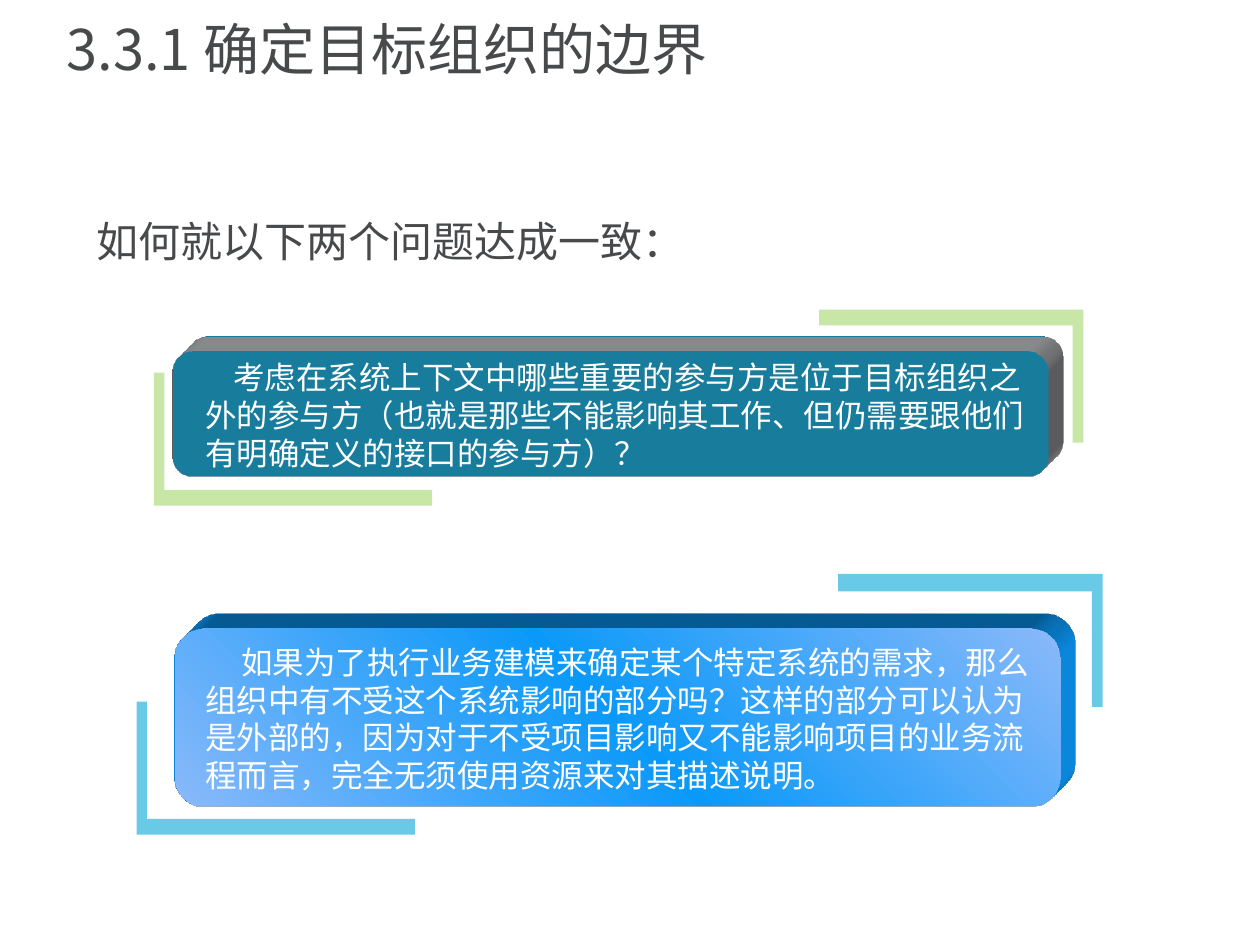
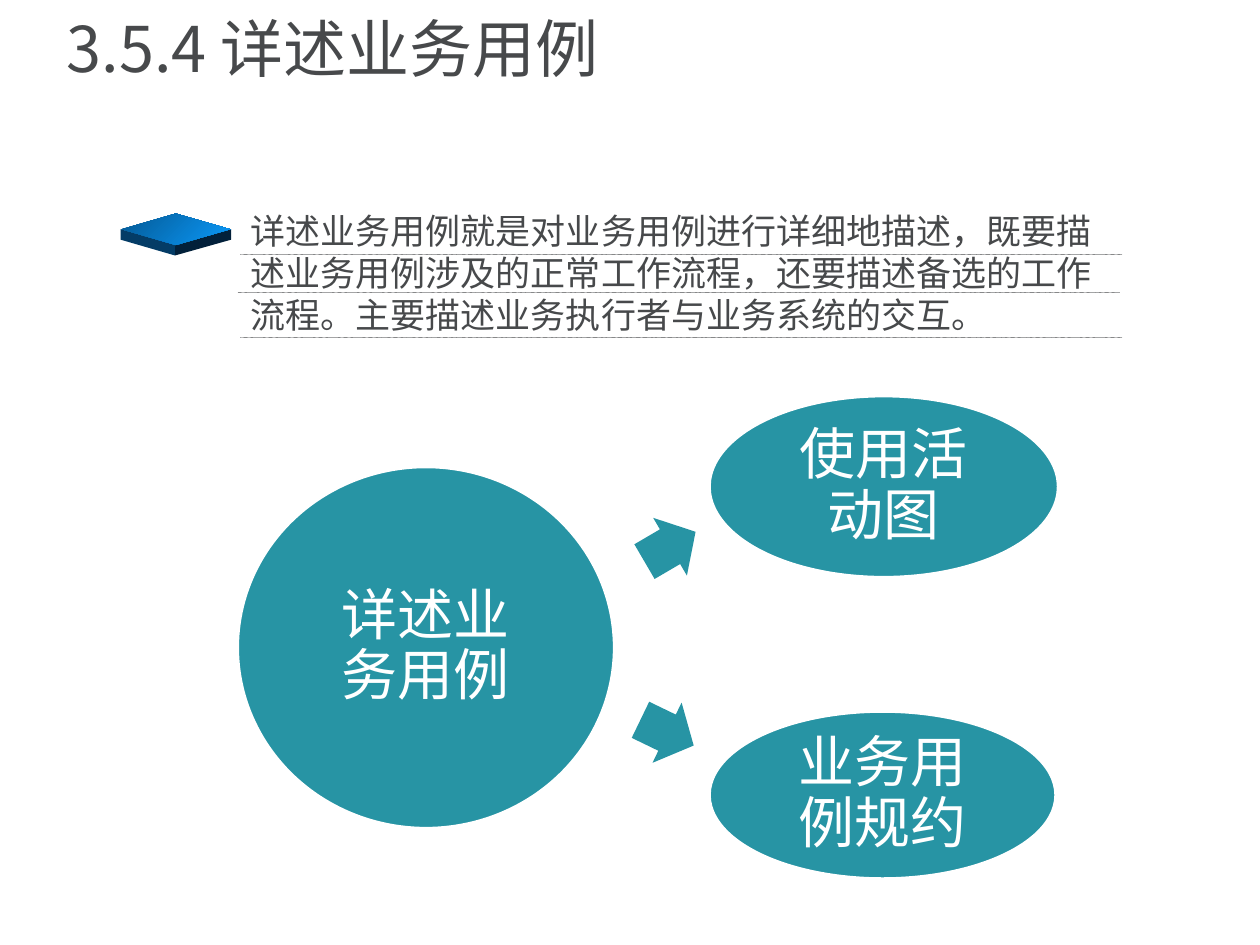
import pptx
import pptx.dml.color
import pptx.enum.shapes
import pptx.enum.text
import pptx.oxml
import pptx.oxml.ns
import pptx.util
from pptx.util import Pt

RGBColor = pptx.dml.color.RGBColor
MSO_SHAPE = pptx.enum.shapes.MSO_SHAPE
MSO_ANCHOR = pptx.enum.text.MSO_ANCHOR
PP_ALIGN = pptx.enum.text.PP_ALIGN

# Shared colours and fonts
INK = RGBColor(0x47, 0x49, 0x4B)
WHITE = RGBColor(0xFF, 0xFF, 0xFF)
GREEN = RGBColor(0x92, 0xD0, 0x50)
SKY = RGBColor(0x22, 0xB1, 0xDE)
TEAL = RGBColor(0x27, 0x94, 0xA4)
GREY = RGBColor(0x99, 0x9B, 0x9E)
BLUE = RGBColor(0x0B, 0x99, 0xF9)
PALE_BLUE = RGBColor(0x8A, 0xB9, 0xFA)
DARK_BLUE = RGBColor(0x04, 0x59, 0x94)
NAVY = RGBColor(0x04, 0x3C, 0x66)
NIGHT = RGBColor(0x02, 0x20, 0x3A)
HEADING_FONT = "Noto Sans CJK SC"
TEXT_FONT = "DejaVu Sans"


def add_child(parent, tag, **attributes):
    child = parent.makeelement(pptx.oxml.ns.qn(tag), attributes)
    parent.append(child)
    return child


def paint(shape, color, opacity=100):
    """Plain fill, no outline, no shadow."""
    shape.shadow.inherit = False
    shape.line.fill.background()
    shape.fill.solid()
    shape.fill.fore_color.rgb = color
    if opacity < 100:
        srgb = shape.fill._xPr.find(".//" + pptx.oxml.ns.qn("a:srgbClr"))
        add_child(srgb, "a:alpha", val=str(opacity * 1000))


def paint_gradient(shape, stops, angle):
    """Linear gradient through (percent, colour) stops, angle clockwise."""
    shape.shadow.inherit = False
    shape.line.fill.background()
    marks = "".join(
        f'<a:gs pos="{percent * 1000}"><a:srgbClr val="{color}"/></a:gs>' for percent, color in stops
    )
    gradient = pptx.oxml.parse_xml(
        f'<a:gradFill {pptx.oxml.ns.nsdecls("a")} rotWithShape="1"><a:gsLst>{marks}</a:gsLst>'
        f'<a:lin ang="{angle * 60000}" scaled="0"/></a:gradFill>'
    )
    shape.fill.background()
    properties = shape._element.spPr
    properties.replace(properties.find(pptx.oxml.ns.qn("a:noFill")), gradient)


def extrude(shape, color, light):
    """Oblique depth towards the upper right."""
    properties = shape._element.spPr
    scene = add_child(properties, "a:scene3d")
    add_child(scene, "a:camera", prst="legacyObliqueTopRight")
    add_child(scene, "a:lightRig", rig="legacyFlat3", dir=light)
    solid = add_child(properties, "a:sp3d", extrusionH=str(Pt(24)), prstMaterial="legacyMatte")
    add_child(add_child(solid, "a:extrusionClr"), "a:srgbClr", val=str(color))


def add_run(paragraph, text, size, color, font):
    run = paragraph.add_run()
    run.text = text
    run.font.size = Pt(size)
    run.font.color.rgb = color
    run.font.name = font
    add_child(run._r.get_or_add_rPr(), "a:ea", typeface=font)


def add_text(slide, box, text, size, color=INK, font=TEXT_FONT, anchor=MSO_ANCHOR.TOP, indent=0):
    shape = slide.shapes.add_textbox(*map(Pt, box))
    frame = shape.text_frame
    frame.word_wrap = True
    frame.vertical_anchor = anchor
    paragraph = frame.paragraphs[0]
    if indent:
        paragraph._p.get_or_add_pPr().set("indent", str(Pt(indent)))
    add_run(paragraph, text, size, color, font)
    return paragraph


def add_title(slide, text, size):
    paragraph = add_text(slide, (31, 4.7, 651.6, 50.4), text, size, INK, HEADING_FONT, MSO_ANCHOR.MIDDLE)
    paragraph.line_spacing = 0.9


def add_outline(slide, points):
    builder = slide.shapes.build_freeform(*points[0], scale=Pt(1))
    builder.add_line_segments(points[1:], close=True)
    return builder.convert_to_shape()


def add_bracket(slide, box, color, opacity, turned=False):
    """L-shaped bracket at the lower left, or turned to the upper right."""
    left, top, width, height = box
    thick_x, thick_y = 6.1, 9.2
    points = [
        (thick_x, height - thick_y), (thick_x, 0), (0, 0),
        (0, height), (width, height), (width, height - thick_y),
    ]
    if turned:
        points = [(width - x, height - y) for x, y in points]
    paint(add_outline(slide, [(left + x, top + y) for x, y in points]), color, opacity)


def add_bar(slide, box):
    bar = slide.shapes.add_shape(MSO_SHAPE.ROUNDED_RECTANGLE, *map(Pt, box))
    bar.adjustments[0] = 0.167
    return bar


def add_slab(slide, left, top, width, height, thickness):
    """Flat diamond with two visible sides."""
    middle_x, middle_y = left + width / 2, top + height / 2
    for edge_x, color in ((left, NAVY), (left + width, NIGHT)):
        side = add_outline(slide, [
            (edge_x, middle_y), (middle_x, top + height),
            (middle_x, top + height + thickness), (edge_x, middle_y + thickness),
        ])
        paint(side, color)
    diamond = slide.shapes.add_shape(MSO_SHAPE.DIAMOND, *map(Pt, (left, top, width, height)))
    paint_gradient(diamond, [(0, DARK_BLUE), (100, BLUE)], 45)


def add_dotted_rule(slide, left, y, width):
    rule = slide.shapes.add_connector(
        pptx.enum.shapes.MSO_CONNECTOR.STRAIGHT, Pt(left), Pt(y), Pt(left + width), Pt(y)
    )
    rule.line.color.rgb = INK
    rule.line.width = Pt(0.25)
    properties = rule._element.spPr
    outline = properties.find(pptx.oxml.ns.qn("a:ln"))
    outline.set("cap", "rnd")
    add_child(outline, "a:prstDash", val="sysDot")
    add_child(properties, "a:effectLst")


def add_oval(slide, box, text, inset):
    oval = slide.shapes.add_shape(MSO_SHAPE.OVAL, *map(Pt, box))
    paint(oval, TEAL)
    oval.line.color.rgb = WHITE
    oval.line.width = Pt(1)
    frame = oval.text_frame
    frame.word_wrap = True
    frame.vertical_anchor = MSO_ANCHOR.MIDDLE
    frame.margin_left = frame.margin_right = Pt(inset)
    frame.margin_top = frame.margin_bottom = Pt(inset)
    paragraph = frame.paragraphs[0]
    paragraph.alignment = PP_ALIGN.CENTER
    paragraph.line_spacing = 0.9
    add_run(paragraph, text, 32, WHITE, HEADING_FONT)


def add_arrow(slide, left, top, rotation):
    arrow = slide.shapes.add_shape(MSO_SHAPE.RIGHT_ARROW, Pt(left), Pt(top), Pt(33.8), Pt(38.2))
    arrow.adjustments[0] = 0.6
    arrow.rotation = rotation
    paint(arrow, TEAL)


def build_boundary_slide(slide):
    add_title(slide, "3.3.1 确定目标组织的边界", 32)
    question = add_text(slide, (48.2, 116.6, 655.2, 365.8), "如何就以下两个问题达成一致：", 24, font=HEADING_FONT)
    question.alignment = PP_ALIGN.JUSTIFY
    question.line_spacing = 1.1

    # First question
    add_bracket(slide, (87.6, 213.3, 159.1, 75.6), GREEN, 50)
    add_bracket(slide, (468, 177.3, 151.2, 75.6), GREEN, 50, turned=True)
    bar = add_bar(slide, (98.6, 201, 500.4, 71.3))
    paint(bar, SKY)
    extrude(bar, GREY, "r")
    add_text(
        slide, (110.2, 201, 487.4, 94.3),
        "考虑在系统上下文中哪些重要的参与方是位于目标组织之外的参与方"
        "（也就是那些不能影响其工作、但仍需要跟他们有明确定义的接口的参与方）？",
        18, WHITE, indent=16,
    )

    # Second question
    add_bracket(slide, (77.8, 401.2, 159.1, 75.6), SKY, 68)
    add_bracket(slide, (478.6, 328.4, 151.2, 75.6), SKY, 68, turned=True)
    bar = add_bar(slide, (100, 358.8, 506.2, 102.2))
    paint_gradient(bar, [(0, PALE_BLUE), (50, BLUE), (100, PALE_BLUE)], 315)
    extrude(bar, BLUE, "b")
    add_text(
        slide, (110.2, 363.8, 487.4, 116.6),
        "如果为了执行业务建模来确定某个特定系统的需求，那么组织中有不受这个系统影响的部分吗？"
        "这样的部分可以认为是外部的，因为对于不受项目影响又不能影响项目的业务流程而言，"
        "完全无须使用资源来对其描述说明。",
        18, WHITE, indent=20.5,
    )


def build_use_case_slide(slide):
    add_title(slide, "3.5.4 详述业务用例", 36)

    # Definition on dotted rules
    add_dotted_rule(slide, 137.5, 145.4, 504)
    add_text(
        slide, (136.1, 115.9, 506.2, 79.9),
        "详述业务用例就是对业务用例进行详细地描述，既要描述业务用例涉及的正常工作流程，"
        "还要描述备选的工作流程。主要描述业务执行者与业务系统的交互。",
        20,
    )
    add_slab(slide, 69.4, 122, 62.2, 18, 6.1)
    add_dotted_rule(slide, 136.1, 166.8, 504)
    add_dotted_rule(slide, 137.5, 192.8, 504)

    # Use case leading to its two forms
    add_oval(slide, (405.7, 226.6, 198.7, 103), "使用活动图", 10)
    add_oval(slide, (405.7, 406.8, 197.3, 95), "业务用例规约", 10)
    add_arrow(slide, 366, 293.3, 329.7)
    add_oval(slide, (136.1, 267.1, 214.6, 205.9), "详述业务用例", 13)
    add_arrow(slide, 364.3, 399.6, 25.8)


def main():
    presentation = pptx.Presentation()
    presentation.slide_width, presentation.slide_height = Pt(720), Pt(540)
    for build in (build_boundary_slide, build_use_case_slide):
        build(presentation.slides.add_slide(presentation.slide_layouts[6]))
    presentation.save("out.pptx")


if __name__ == "__main__":
    main()
